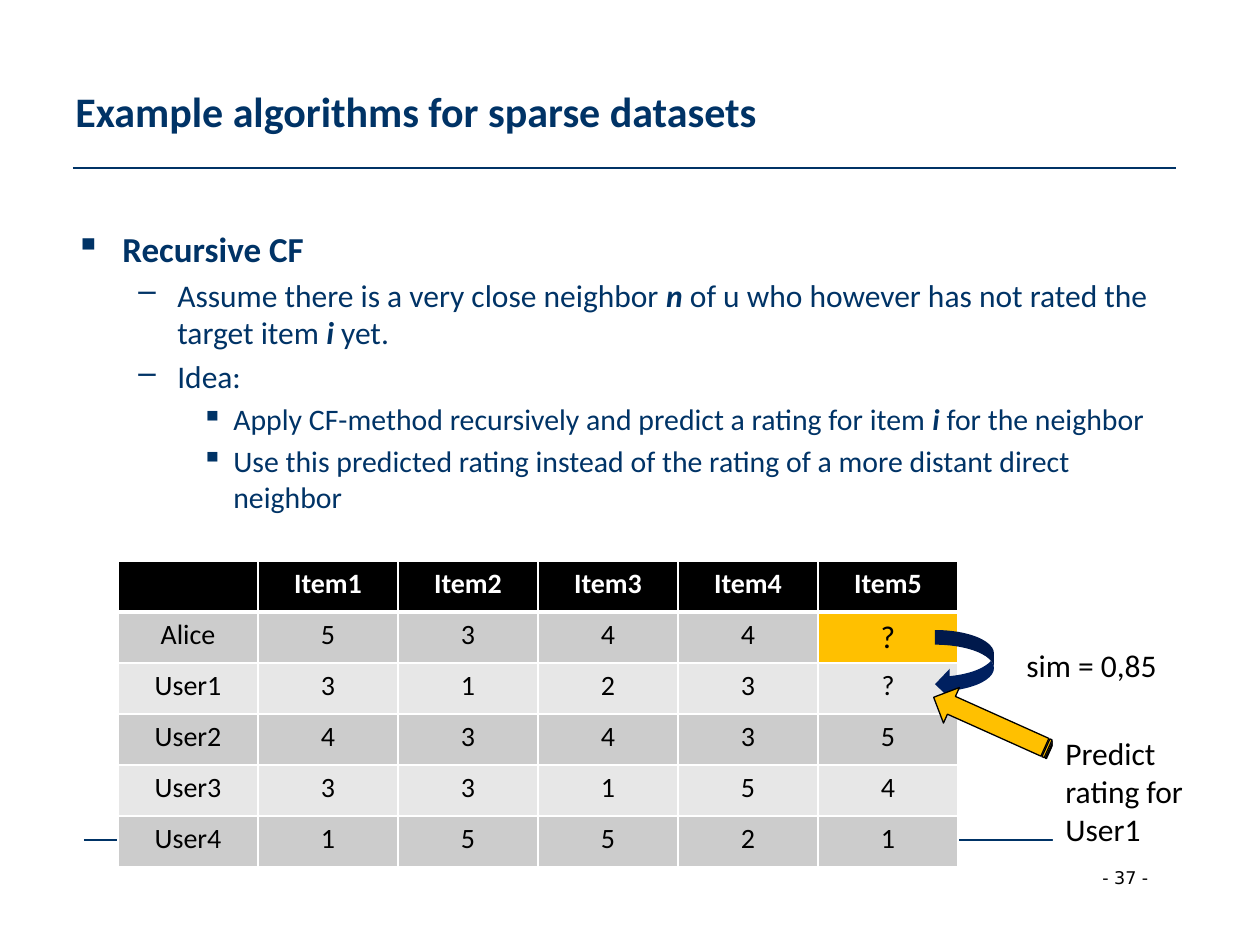
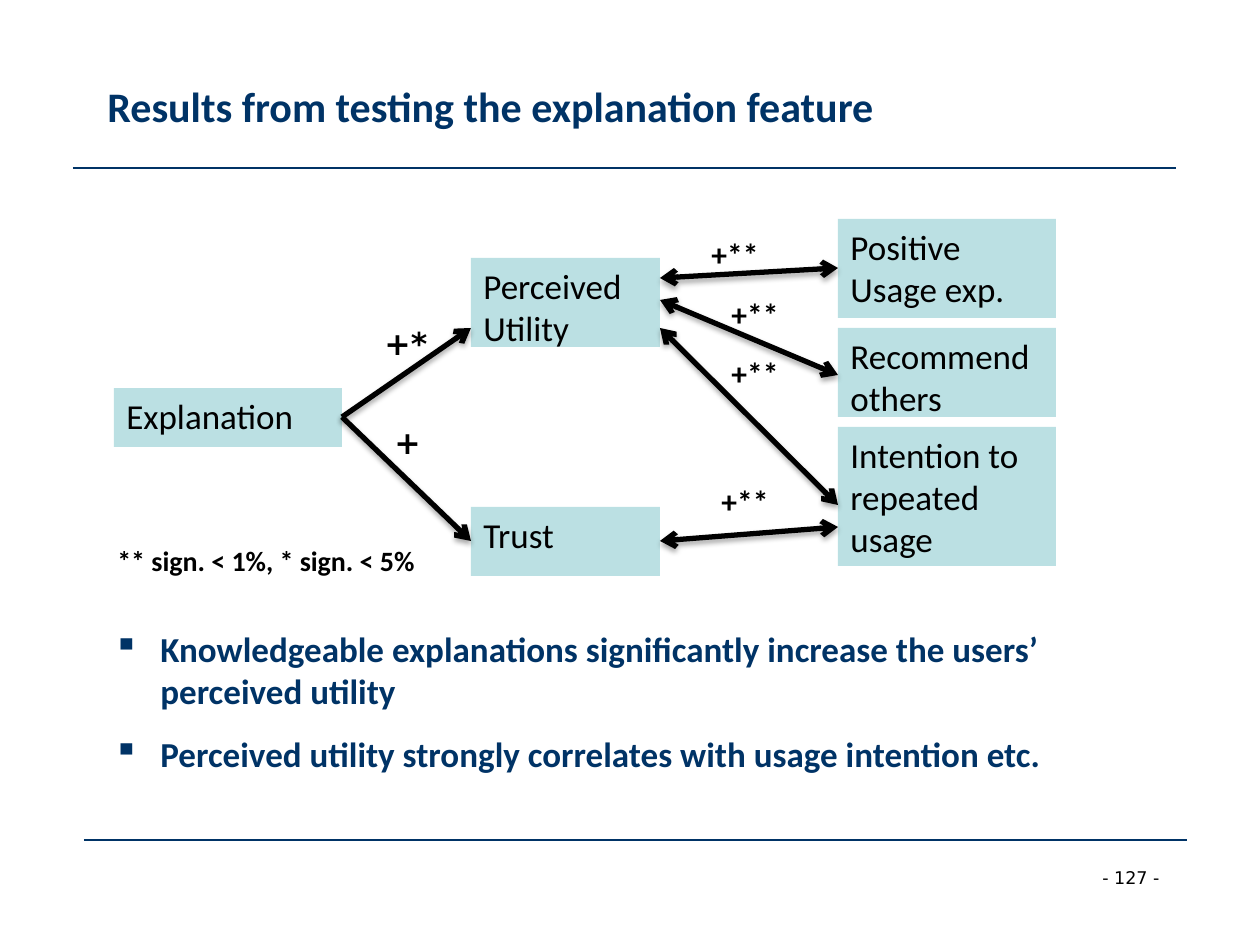
from dataclasses import dataclass

from lxml.etree import SubElement
from pptx import Presentation
from pptx.dml.color import RGBColor
from pptx.enum.shapes import MSO_CONNECTOR as Link, MSO_SHAPE as Shape
from pptx.enum.text import MSO_ANCHOR as Anchor, PP_ALIGN as Align
from pptx.oxml.ns import qn
from pptx.util import Emu, Pt


@dataclass(frozen=True)
class Theme:
    navy: str = "003366"
    black: str = "000000"
    white: str = "FFFFFF"
    amber: str = "FFC000"
    curve: str = "002060"
    node: str = "BBE0E3"
    bands: tuple = ("CCCCCC", "E7E7E7")
    body_font: str = "Calibri"
    symbol_font: str = "DejaVu Sans"
    title: int = 24
    large: int = 20
    medium: int = 18
    cell: int = 16
    page: int = 10


THEME = Theme()
PX_PER_INCH = 126
RULES = [(73, 168), (84, 840)]
RULE_LENGTH = 1103
PAGE_BOX = (1090, 861, 96, 34)

LEVELS = [
    dict(mark="▪", left=47, hang=47, before=12, size=THEME.large, bold=True),
    dict(mark="–", left=102, hang=39, before=3.6, size=THEME.medium, bold=False),
    dict(mark="▪", left=158, hang=32, before=3.4, size=17, bold=False),
]

SPARSE = dict(
    title="Example algorithms for sparse datasets",
    title_box=(63, 32, 1134, 158),
    page="- 37 -",
    body_box=(63, 221, 1134, 624),
    points=[
        (0, "Recursive CF"),
        (1, "Assume there is a very close neighbor _n_ of u who however has not rated the target item _i_ yet."),
        (1, "Idea:"),
        (2, "Apply CF-method recursively and predict a rating for item _i_ for the neighbor"),
        (2, "Use this predicted rating instead of the rating of a more distant direct neighbor"),
    ],
)
RATINGS = [
    ["", "Item1", "Item2", "Item3", "Item4", "Item5"],
    ["Alice", "5", "3", "4", "4", "?"],
    ["User1", "3", "1", "2", "3", "?"],
    ["User2", "4", "3", "4", "3", "5"],
    ["User3", "3", "3", "1", "5", "4"],
    ["User4", "1", "5", "5", "2", "1"],
]
RATINGS_AT = (118, 561)
RATING_CELL = (140, 51)
TARGET = (1, 5)

RESULTS = dict(
    title="Results from testing the explanation feature",
    title_box=(95, 27, 1032, 158),
    page="- 127 -",
    body_box=(101, 621, 1071, 179),
    points=[
        (0, "Knowledgeable explanations significantly increase the users’ perceived utility"),
        (0, "Perceived utility strongly correlates with usage intention etc."),
    ],
)
FACTORS = {
    "explanation": (["Explanation"], (114, 388, 228, 59)),
    "trust": (["Trust"], (471, 507, 189, 69)),
    "utility": (["Perceived", "Utility"], (471, 258, 189, 89)),
    "usage": (["Positive", "Usage exp."], (838, 219, 218, 99)),
    "recommend": (["Recommend others"], (838, 328, 218, 89)),
    "intention": (["Intention to repeated usage"], (838, 427, 218, 139)),
}
EFFECTS = [
    ("explanation", 417, "utility", 328, False),
    ("explanation", 417, "trust", 541, False),
    ("utility", 328, "intention", 505, True),
    ("utility", 300, "recommend", 375, True),
    ("utility", 278, "usage", 268, True),
    ("trust", 541, "intention", 527, True),
]
STRONG_SIGNS = [(699, 229), (719, 289), (719, 348), (709, 476)]
WEAK_SIGNS = [("+*", (372, 318, 79, 50)), ("+", (382, 417, 49, 50))]
LEGEND = ("** sign. < 1%, * sign. < 5%", (105, 537, 326, 47))


def px(value):
    return Emu(round(value * 914400 / PX_PER_INCH))


def rgb(value):
    return RGBColor.from_string(value)


def style(paragraph, size, color=THEME.black, bold=False, font=THEME.body_font):
    paragraph.font.name = font
    paragraph.font.size = Pt(size)
    paragraph.font.bold = bold
    paragraph.font.color.rgb = rgb(color)


def write(frame, lines, size, **look):
    frame.word_wrap = True
    for index, line in enumerate(lines):
        paragraph = frame.add_paragraph() if index else frame.paragraphs[0]
        paragraph.text = line
        paragraph.alignment = Align.LEFT
        style(paragraph, size, **look)


def add_label(slide, text, box, size, **look):
    frame = slide.shapes.add_textbox(*map(px, box)).text_frame
    write(frame, [text], size, **look)
    return frame


def add_block(slide, kind, box, fill, outline=None):
    block = slide.shapes.add_shape(kind, *map(px, box))
    block.shadow.inherit = False
    block.fill.solid()
    block.fill.fore_color.rgb = rgb(fill)
    if outline:
        block.line.color.rgb = rgb(outline)
        block.line.width = Pt(0.75)
    else:
        block.line.fill.background()
    return block


def add_panel(slide, lines, box, fill, size):
    frame = add_block(slide, Shape.RECTANGLE, box, fill).text_frame
    frame.vertical_anchor = Anchor.TOP
    write(frame, lines, size)


def add_line(slide, start, end, color, width):
    line = slide.shapes.add_connector(Link.STRAIGHT, *map(px, (*start, *end)))
    line.line.color.rgb = rgb(color)
    line.line.width = Pt(width)
    return line, SubElement(line._element.spPr, qn("a:effectLst"))


def add_effect(slide, start, end, two_way):
    arrow, effects = add_line(slide, start, end, THEME.black, 3)
    outline = arrow.line._get_or_add_ln()
    for tag in ("a:headEnd", "a:tailEnd")[0 if two_way else 1:]:
        SubElement(outline, qn(tag), type="arrow")
    shadow = SubElement(effects, qn("a:outerShdw"), blurRad="40000", dist="23000",
                        dir="5400000", rotWithShape="0")
    color = SubElement(shadow, qn("a:srgbClr"), val=THEME.black)
    SubElement(color, qn("a:alpha"), val="35000")


def add_points(slide, points, box):
    frame = slide.shapes.add_textbox(*map(px, box)).text_frame
    frame.word_wrap = True
    for index, (depth, text) in enumerate(points):
        level = LEVELS[depth]
        paragraph = frame.add_paragraph() if index else frame.paragraphs[0]
        paragraph.level = depth
        layout = paragraph._p.get_or_add_pPr()
        layout.set("marL", str(px(level["left"])))
        layout.set("indent", str(-px(level["hang"])))
        SubElement(layout, qn("a:buChar"), char=level["mark"])
        if index:
            paragraph.space_before = Pt(level["before"])
        style(paragraph, level["size"], THEME.navy, level["bold"])
        for part, words in enumerate(text.split("_")):
            run = paragraph.add_run()
            run.text = words
            if part % 2:
                run.font.bold = run.font.italic = True


def add_base(deck, content):
    slide = deck.slides.add_slide(deck.slide_layouts[6])
    for left, top in RULES:
        add_line(slide, (left, top), (left + RULE_LENGTH, top), THEME.navy, 0.75)
    add_label(slide, content["page"], PAGE_BOX, THEME.page, font=THEME.symbol_font)
    title = add_label(slide, content["title"], content["title_box"], THEME.title,
                      color=THEME.navy, bold=True)
    title.vertical_anchor = Anchor.MIDDLE
    add_points(slide, content["points"], content["body_box"])
    return slide


def add_borders(cell, header):
    properties = cell._tc.get_or_add_tcPr()
    for index, side in enumerate("LRTB"):
        width = Pt(3 if header and side == "B" else 1)
        border = properties.makeelement(qn(f"a:ln{side}"), {"w": str(width)})
        paint = SubElement(border, qn("a:solidFill"))
        SubElement(paint, qn("a:srgbClr"), val=THEME.white)
        properties.insert(index, border)


def add_ratings(slide):
    rows, columns = len(RATINGS), len(RATINGS[0])
    width, height = RATING_CELL
    box = (*RATINGS_AT, width * columns, height * rows)
    table = slide.shapes.add_table(rows, columns, *map(px, box)).table
    for r, row in enumerate(RATINGS):
        for c, rating in enumerate(row):
            cell = table.cell(r, c)
            header, target = r == 0, (r, c) == TARGET
            fill = THEME.black if header else THEME.bands[(r - 1) % 2]
            cell.fill.solid()
            cell.fill.fore_color.rgb = rgb(THEME.amber if target else fill)
            add_borders(cell, header)
            paragraph = cell.text_frame.paragraphs[0]
            paragraph.alignment = Align.CENTER
            if rating:
                paragraph.text = rating
            style(paragraph, THEME.medium if target else THEME.cell,
                  THEME.white if header else THEME.black, header)


def build_sparse(deck):
    slide = add_base(deck, SPARSE)
    add_ratings(slide)
    add_block(slide, Shape.CURVED_LEFT_ARROW, (935, 630, 59, 69), THEME.curve)
    add_label(slide, "sim = 0,85", (1014, 640, 158, 50), THEME.medium)
    pointer = add_block(slide, Shape.STRIPED_RIGHT_ARROW, (928, 704, 128, 39),
                        THEME.amber, THEME.black)
    pointer.rotation = 204.2
    add_panel(slide, ["Predict rating for", "User1"], (1053, 728, 168, 127),
              THEME.white, THEME.medium)


def build_results(deck):
    slide = add_base(deck, RESULTS)
    for lines, box in FACTORS.values():
        add_panel(slide, lines, box, THEME.node, THEME.large)
    for cause, cause_y, outcome, outcome_y, two_way in EFFECTS:
        left, _, width, _ = FACTORS[cause][1]
        outcome_left = FACTORS[outcome][1][0]
        add_effect(slide, (left + width, cause_y), (outcome_left, outcome_y), two_way)
    add_label(slide, *LEGEND, THEME.cell, bold=True)
    for left, top in STRONG_SIGNS:
        add_label(slide, "+**", (left, top, 79, 50), THEME.medium, bold=True)
    for sign, box in WEAK_SIGNS:
        add_label(slide, sign, box, THEME.medium, bold=True, font=THEME.symbol_font)


def main():
    deck = Presentation()
    deck.slide_width, deck.slide_height = px(1260), px(945)
    build_sparse(deck)
    build_results(deck)
    deck.save("out.pptx")


if __name__ == "__main__":
    main()
